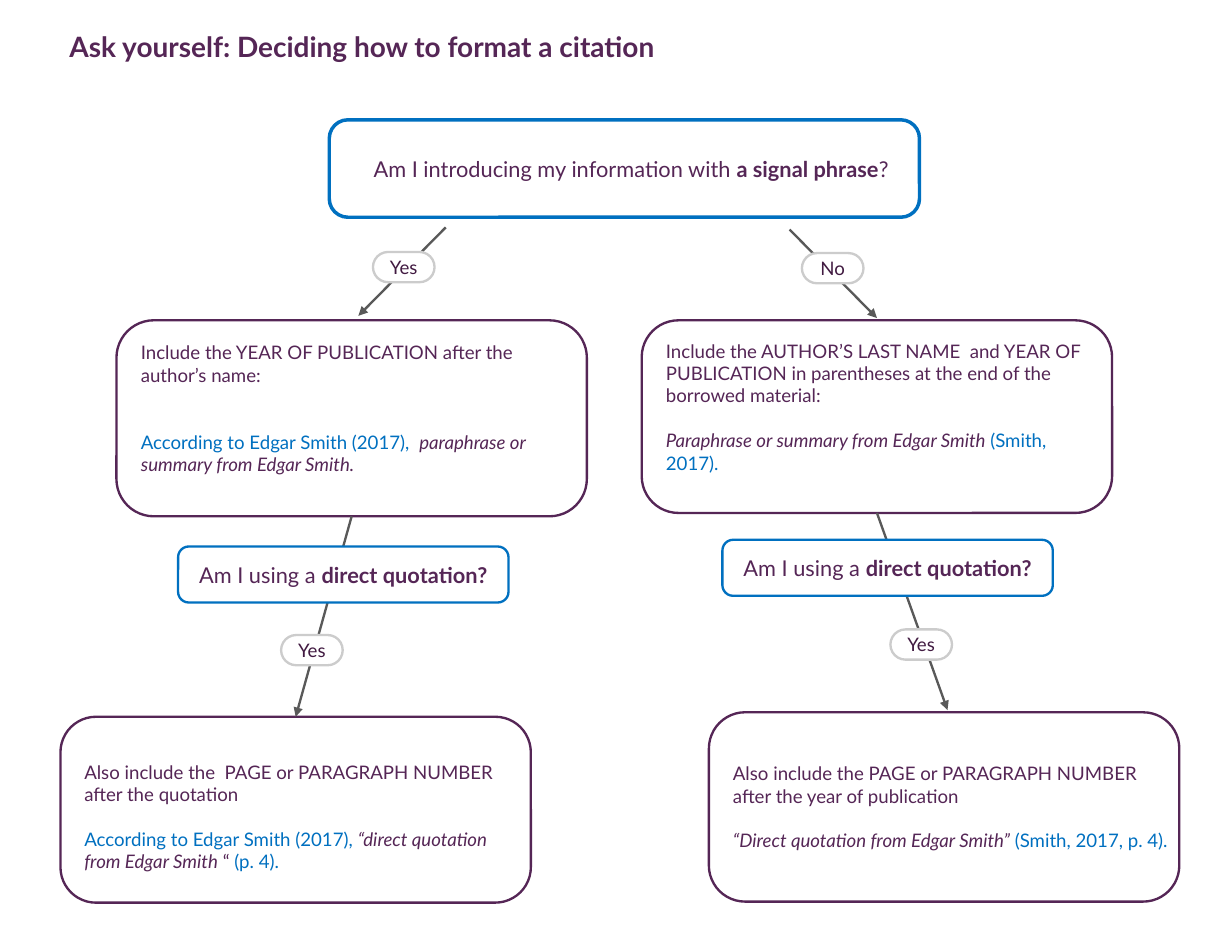
from dataclasses import dataclass

import pptx
import pptx.dml.color
import pptx.enum.shapes
import pptx.enum.text
import pptx.oxml
import pptx.oxml.ns
import pptx.util
from pptx.util import Inches

MIDDLE = pptx.enum.text.MSO_ANCHOR.MIDDLE
LEFT = pptx.enum.text.PP_ALIGN.LEFT
CENTER = pptx.enum.text.PP_ALIGN.CENTER


def rgb(value):
    return pptx.dml.color.RGBColor.from_string(value)


@dataclass(frozen=True)
class Theme:
    font: str = "Lato"
    purple: str = "552656"
    dark_purple: str = "411A41"
    blue: str = "0070C0"
    badge_line: str = "CCCCCC"
    arrow: str = "595959"
    white: str = "FFFFFF"
    title_size: int = 18
    question_size: int = 14
    body_size: int = 12
    body_line: float = 14.4


theme = Theme()


def add_box(slide, place, line, paragraphs, size, color=theme.purple, width=1.5,
            corner=0.191, insets=(0.1, 0.1, 0.1, 0.1), align=CENTER, gap=0):
    """Add a rounded box; each paragraph is a list of (text, style) runs.

    A style may name "bold", "italic" and "blue"; gap is the space in points
    before every paragraph but the first.
    """
    shape = slide.shapes.add_shape(
        pptx.enum.shapes.MSO_SHAPE.ROUNDED_RECTANGLE, *map(Inches, place))
    shape.shadow.inherit = False
    shape.adjustments[0] = corner
    shape.fill.solid()
    shape.fill.fore_color.rgb = rgb(theme.white)
    shape.line.color.rgb = rgb(line)
    shape.line.width = pptx.util.Pt(width)

    frame = shape.text_frame
    frame.word_wrap = True
    frame.vertical_anchor = MIDDLE
    (frame.margin_left, frame.margin_top,
     frame.margin_right, frame.margin_bottom) = map(Inches, insets)
    for index, runs in enumerate(paragraphs):
        paragraph = frame.add_paragraph() if index else frame.paragraphs[0]
        paragraph.alignment = align
        if index:
            paragraph.space_before = pptx.util.Pt(gap)
        paragraph.font.name = theme.font
        paragraph.font.size = pptx.util.Pt(size)
        for text, style in runs:
            run = paragraph.add_run()
            run.text = text
            run.font.name = theme.font
            run.font.size = pptx.util.Pt(size)
            run.font.color.rgb = rgb(theme.blue if "blue" in style else color)
            if "bold" in style:
                run.font.bold = True
            if "italic" in style:
                run.font.italic = True


presentation = pptx.Presentation()
presentation.slide_width = Inches(11)
presentation.slide_height = Inches(8.5)
slide = presentation.slides.add_slide(presentation.slide_layouts[5])

# Title
title = slide.shapes.title
title.left, title.top, title.width, title.height = map(Inches, (0.62, 0.14, 6.71, 0.59))
frame = title.text_frame
frame.text = "Ask yourself: Deciding how to format a citation"
frame.word_wrap = True
frame.auto_size = pptx.enum.text.MSO_AUTO_SIZE.NONE
frame.vertical_anchor = pptx.enum.text.MSO_ANCHOR.TOP
frame.margin_left = frame.margin_right = 0
frame.margin_top = frame.margin_bottom = Inches(0.12)
paragraph = frame.paragraphs[0]
paragraph.alignment = LEFT
paragraph.font.name = theme.font
paragraph.font.size = pptx.util.Pt(theme.title_size)
paragraph.font.bold = True
paragraph.font.color.rgb = rgb(theme.purple)

# Opening question
add_box(slide, (2.94, 1.07, 5.27, 0.87), theme.blue,
        [[("Am I introducing my information with ", ""),
          ("a signal phrase", "bold"), ("?", "")]],
        theme.question_size, width=2.25, insets=(0.12, 0.12, 0, 0.12))

# Advice: left, top, height, bottom inset, blank lines between paragraphs, text
advice_width = 4.2
advice = [
    (1.04, 2.86, 1.75, 0.3, 2, [
        [("Include the YEAR OF PUBLICATION after the author’s name:", "")],
        [("According to Edgar Smith (2017),  ", "blue"),
         ("paraphrase or summary from Edgar Smith.", "italic")]]),
    (0.54, 6.4, 1.66, 0, 1, [
        [("Also include the  PAGE or PARAGRAPH NUMBER after the quotation", "")],
        [("According to Edgar Smith (2017), ", "blue"),
         ("“direct quotation from Edgar Smith", "italic"),
         (" “ ", ""), ("(p. 4).", "blue")]]),
    (5.73, 2.86, 1.72, 0.3, 1, [
        [("Include the AUTHOR’S LAST NAME  and YEAR OF PUBLICATION in "
          "parentheses at the end of the borrowed material:", "")],
        [("Paraphrase or summary from Edgar Smith ", "italic"),
         ("(Smith, 2017).", "blue")]]),
    (6.33, 6.36, 1.69, 0.12, 1, [
        [("Also include the PAGE or PARAGRAPH NUMBER after the year of "
          "publication", "")],
        [("“Direct quotation from Edgar Smith” ", "italic"),
         ("(Smith, 2017, p. 4).", "blue")]]),
]
for left, top, height, bottom_inset, blank_lines, paragraphs in advice:
    add_box(slide, (left, top, advice_width, height), theme.purple, paragraphs,
            theme.body_size, insets=(0.12, 0.12, 0, bottom_inset), align=LEFT,
            gap=blank_lines * theme.body_line)

# Arrows
arrows = [
    (3.98, 2.03, 3.2, 2.82),
    (7.05, 2.05, 7.83, 2.84),
    (3.14, 4.61, 2.64, 6.4),
    (7.83, 4.58, 8.46, 6.34),
]
for ends in arrows:
    connector = slide.shapes.add_connector(
        pptx.enum.shapes.MSO_CONNECTOR.STRAIGHT, *map(Inches, ends))
    connector.line.color.rgb = rgb(theme.arrow)
    connector.line.width = pptx.util.Pt(1.5)
    properties = connector._element.spPr
    head = pptx.oxml.parse_xml(
        f'<a:tailEnd {pptx.oxml.ns.nsdecls("a")} type="triangle"/>')
    connector.line._get_or_add_ln().append(head)
    properties.append(pptx.oxml.parse_xml(
        f'<a:effectLst {pptx.oxml.ns.nsdecls("a")}/>'))

# Answers on the arrows
answers = [(2.51, 5.67, "Yes"), (7.95, 5.62, "Yes"), (3.33, 2.25, "Yes"), (7.16, 2.26, "No")]
for left, top, answer in answers:
    add_box(slide, (left, top, 0.55, 0.27), theme.badge_line, [[(answer, "")]],
            theme.body_size, color=theme.dark_purple, corner=0.5)

# Follow-up questions
for left, top in [(6.45, 4.82), (1.59, 4.88)]:
    add_box(slide, (left, top, 2.95, 0.5), theme.blue,
            [[("Am I using a ", ""), ("direct quotation?", "bold")]],
            theme.question_size)

presentation.save("out.pptx")
